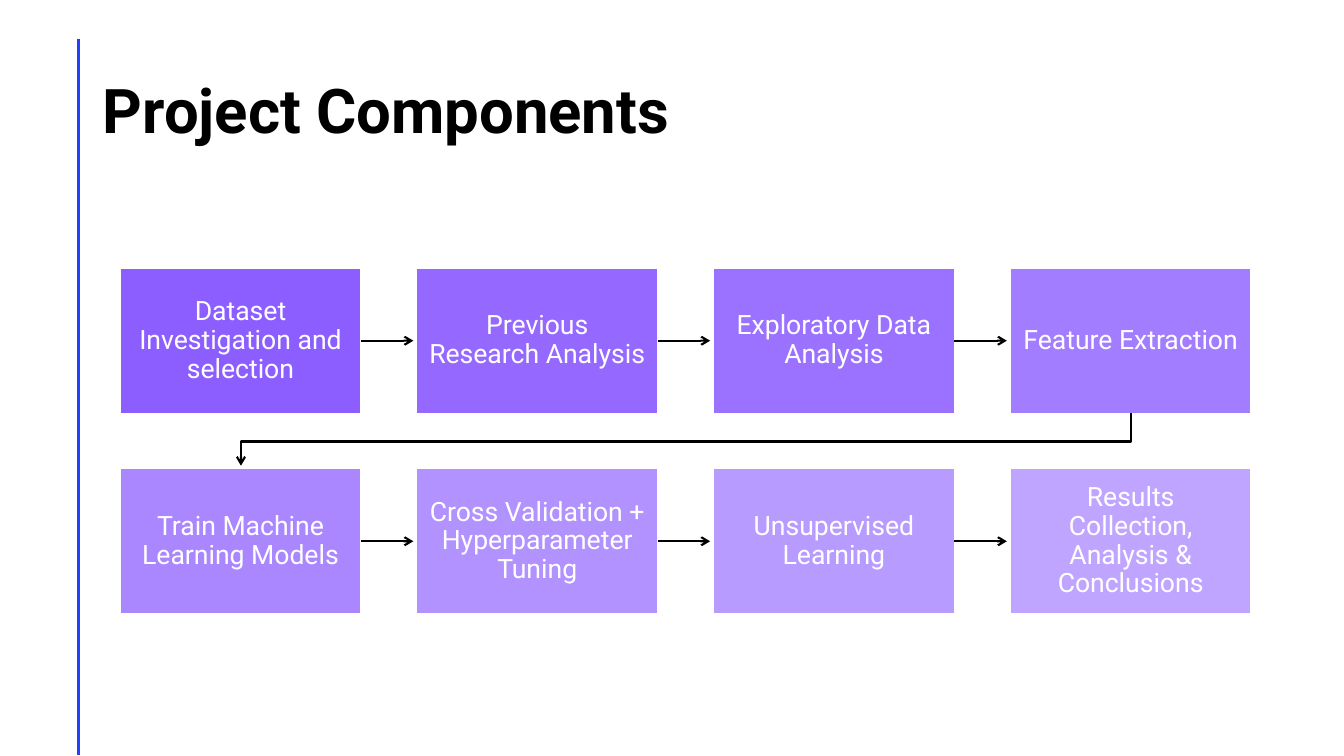
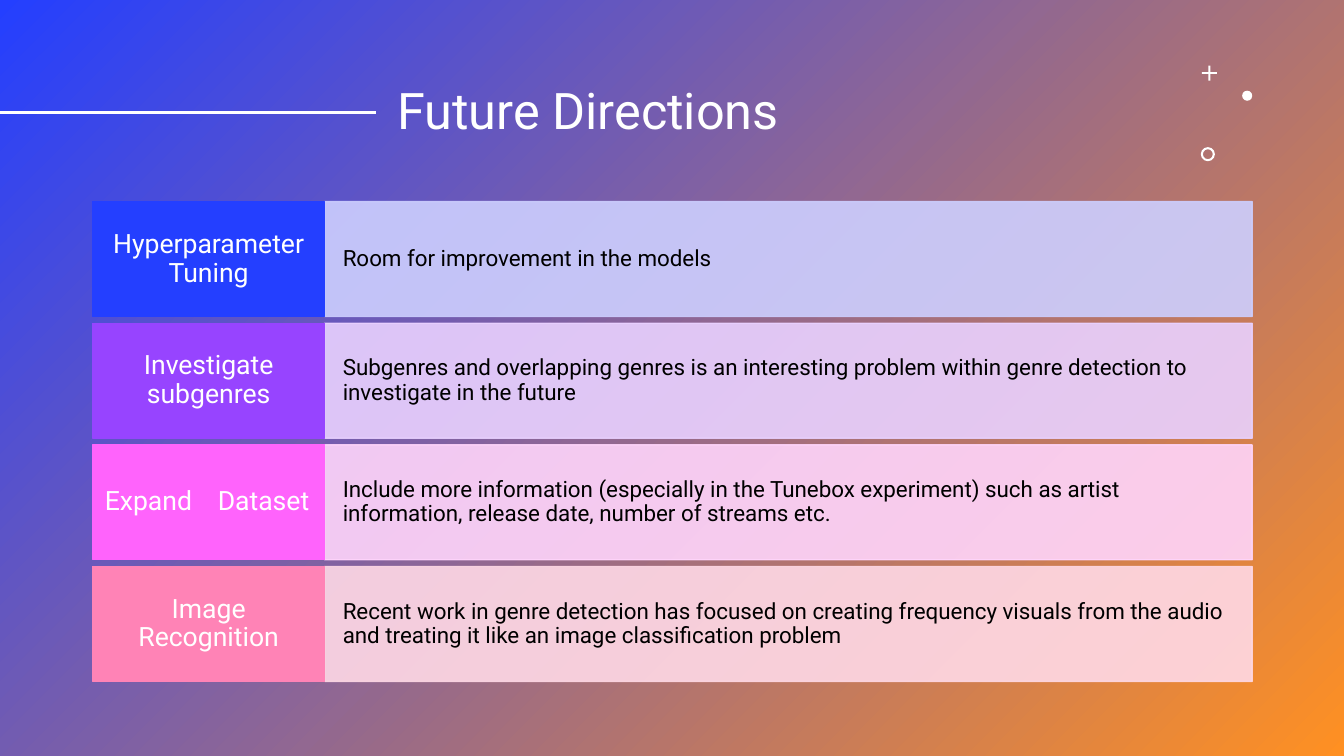
from lxml.etree import SubElement
from pptx import Presentation
from pptx.dml.color import RGBColor
from pptx.enum.shapes import MSO_CONNECTOR, MSO_SHAPE
from pptx.enum.text import MSO_ANCHOR, PP_ALIGN
from pptx.oxml.ns import qn
from pptx.util import Inches, Pt

FONT = "Roboto"
WHITE, BLACK = "FFFFFF", "000000"
BLUE, ORANGE, VIOLET = "243FFF", "FF9022", "814DFF"

rgb = RGBColor.from_string


def write(sp, text, size, color, align, margins=(0.1, 0.05), bold=False):
    tf = sp.text_frame
    tf.word_wrap = True
    tf.vertical_anchor = MSO_ANCHOR.MIDDLE
    tf.margin_left = tf.margin_right = Inches(margins[0])
    tf.margin_top = tf.margin_bottom = Inches(margins[1])
    p = tf.paragraphs[0]
    p.text = text
    p.alignment = align
    p.line_spacing = 0.9
    for r in p.runs:
        r.font.name = FONT
        r.font.size = Pt(size)
        r.font.bold = bold
        r.font.color.rgb = rgb(color)
    return p


def paint(sp, fill, line=None, alpha=100):
    sp.shadow.inherit = False
    sp.fill.solid()
    sp.fill.fore_color.rgb = rgb(fill)
    if line:
        sp.line.color.rgb = rgb(line)
        sp.line.width = Pt(1)
    else:
        sp.line.fill.background()
    if alpha < 100:
        for clr in sp.element.spPr.iter(qn("a:srgbClr")):
            if clr.get("val") == fill:
                SubElement(clr, qn("a:alpha"), val=str(round(alpha * 1000)))


prs = Presentation()
prs.slide_width, prs.slide_height = Inches(13.33), Inches(7.5)

slides = []
for text, left, width, size, color, bold, rule in [
    ("Project Components", 0.92, 11.5, 44, BLACK, True, (0.78, 0.39, 0.78, 7.49, BLUE)),
    ("Future Directions", 3.84, 7.83, 36, WHITE, False, (0, 1.12, 3.73, 1.12, WHITE)),
]:
    s = prs.slides.add_slide(prs.slide_layouts[5])
    title = s.shapes.title
    title.left, title.top = Inches(left), Inches(0.4)
    title.width, title.height = Inches(width), Inches(1.45)
    write(title, text, size, color, PP_ALIGN.LEFT, bold=bold)
    line = s.shapes.add_connector(MSO_CONNECTOR.STRAIGHT, *[Inches(v) for v in rule[:4]])
    line.line.color.rgb = rgb(rule[4])
    line.line.width = Pt(2)
    SubElement(line.element.spPr, qn("a:effectLst"))
    slides.append(s)

s = slides[0]
steps = [
    "Dataset Investigation and selection",
    "Previous Research Analysis",
    "Exploratory Data Analysis",
    "Feature Extraction",
    "Train Machine Learning Models",
    "Cross Validation + Hyperparameter Tuning",
    "Unsupervised Learning",
    "Results Collection, Analysis & Conclusions",
]
cols = 4
step_w, step_h = 2.39, 1.44
arrows = []
for i, text in enumerate(steps):
    row, col = divmod(i, cols)
    x, y = 1.19 + col * 2.943, 2.66 + row * 1.99
    sp = s.shapes.add_shape(MSO_SHAPE.RECTANGLE, Inches(x), Inches(y), Inches(step_w), Inches(step_h))
    paint(sp, VIOLET, WHITE, 90 - i * 40 / (len(steps) - 1))
    write(sp, text, 19, WHITE, PP_ALIGN.CENTER, (0.12, 0.12))
    if col < cols - 1:
        mid = Inches(y + step_h / 2)
        arrow = s.shapes.add_connector(
            MSO_CONNECTOR.STRAIGHT, Inches(x + step_w), mid, Inches(x + step_w + 0.52), mid)
        arrows.append(arrow)

turn = s.shapes.build_freeform(Inches(11.22), Inches(4.1))
turn.add_line_segments(
    [(Inches(x), Inches(y)) for x, y in [(11.22, 4.38), (2.39, 4.38), (2.39, 4.62)]], close=False)
elbow = turn.convert_to_shape()
elbow.fill.background()
arrows.append(elbow)
for arrow in arrows:
    arrow.line.color.rgb = rgb(BLACK)
    arrow.line.width = Pt(1.5)
    SubElement(arrow.element.spPr.find(qn("a:ln")), qn("a:tailEnd"), type="arrow")
    SubElement(arrow.element.spPr, qn("a:effectLst"))

s = slides[1]
backdrop = s.shapes.add_shape(MSO_SHAPE.RECTANGLE, 0, 0, prs.slide_width, prs.slide_height)
backdrop.shadow.inherit = False
backdrop.line.fill.background()
backdrop.fill.gradient()
backdrop.fill.gradient_angle = 315
for stop, color, position in zip(backdrop.fill.gradient_stops, (BLUE, ORANGE), (0, 1)):
    stop.color.rgb = rgb(color)
    stop.position = position
s.shapes.element.insert(2, backdrop.element)

for shape, x, y, size, adjust in [
    (MSO_SHAPE.CROSS, 11.92, 0.65, 0.15, 0.44),
    (MSO_SHAPE.OVAL, 12.32, 0.9, 0.1, None),
    (MSO_SHAPE.DONUT, 11.91, 1.46, 0.14, 0.15),
]:
    sp = s.shapes.add_shape(shape, Inches(x), Inches(y), Inches(size), Inches(size))
    paint(sp, WHITE)
    if adjust:
        sp.adjustments[0] = adjust

directions = [
    ("Hyperparameter Tuning", BLUE, "CDCFFF", "Room for improvement in the models"),
    ("Investigate subgenres", "9744FF", "E9D1FF",
     "Subgenres and overlapping genres is an interesting problem within genre detection "
     "to investigate in the future"),
    ("Expand\tDataset", "FF63FC", "FFD5FB",
     "Include more information (especially in the Tunebox experiment) such as artist "
     "information, release date, number of streams etc."),
    ("Image Recognition", "FF83B6", "FFD9E6",
     "Recent work in genre detection has focused on creating frequency visuals from the "
     "audio and treating it like an image classification problem"),
]
for i, (label, strong, pale, detail) in enumerate(directions):
    y = Inches(2 + i * 1.207)
    sp = s.shapes.add_shape(MSO_SHAPE.RECTANGLE, Inches(3.22), y, Inches(9.2), Inches(1.14))
    paint(sp, pale, pale, 90)
    write(sp, detail, 16, BLACK, PP_ALIGN.LEFT, (0.18, 0.29))
    sp = s.shapes.add_shape(MSO_SHAPE.RECTANGLE, Inches(0.92), y, Inches(2.3), Inches(1.14))
    paint(sp, strong, strong)
    tabbed = "\t" in label
    p = write(sp, label, 19, WHITE, PP_ALIGN.LEFT if tabbed else PP_ALIGN.CENTER, (0.12, 0.11))
    if tabbed:
        tabs = SubElement(p._p.get_or_add_pPr(), qn("a:tabLst"))
        SubElement(tabs, qn("a:tab"), pos=str(Inches(1.12)), algn="l")

prs.save("out.pptx")
